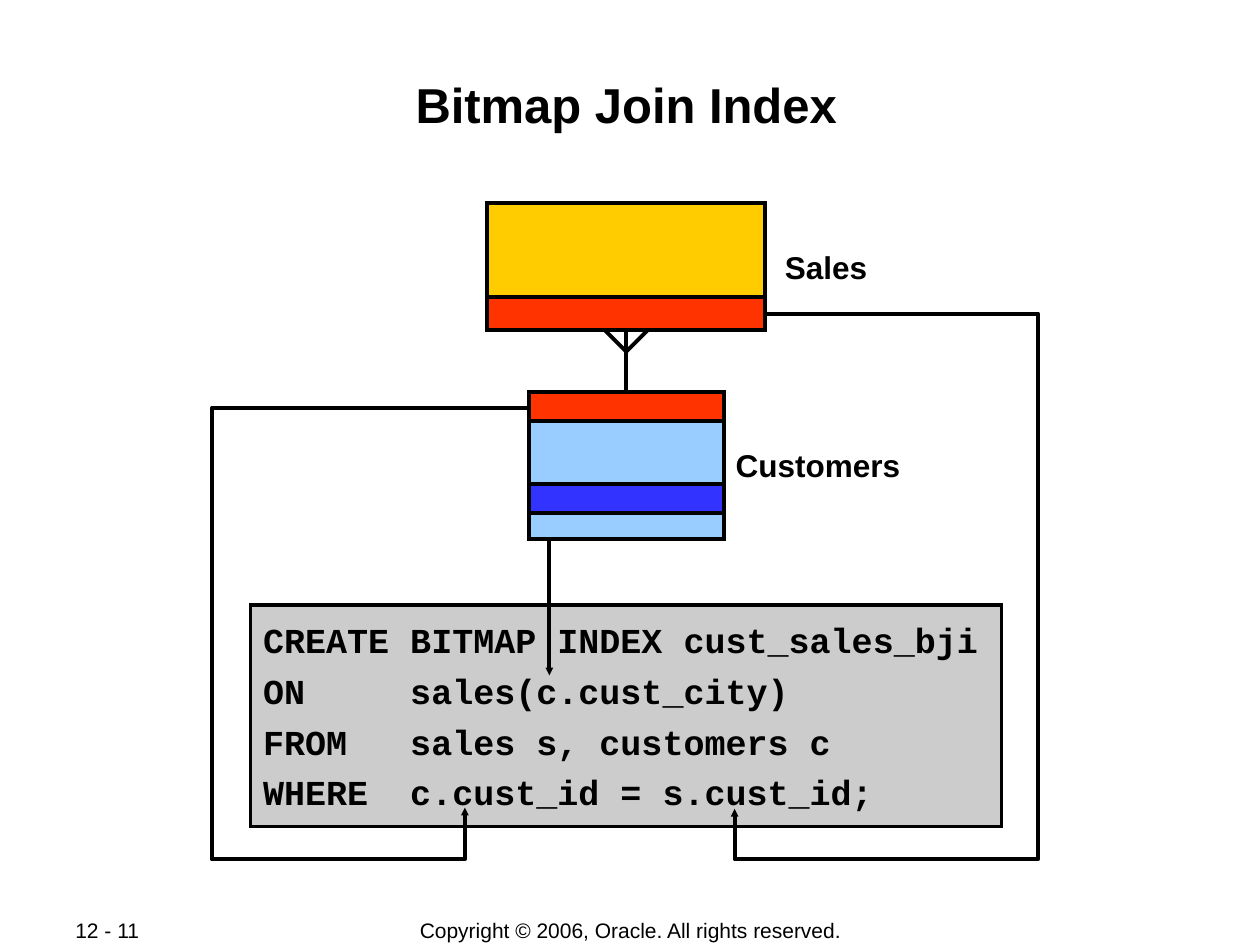
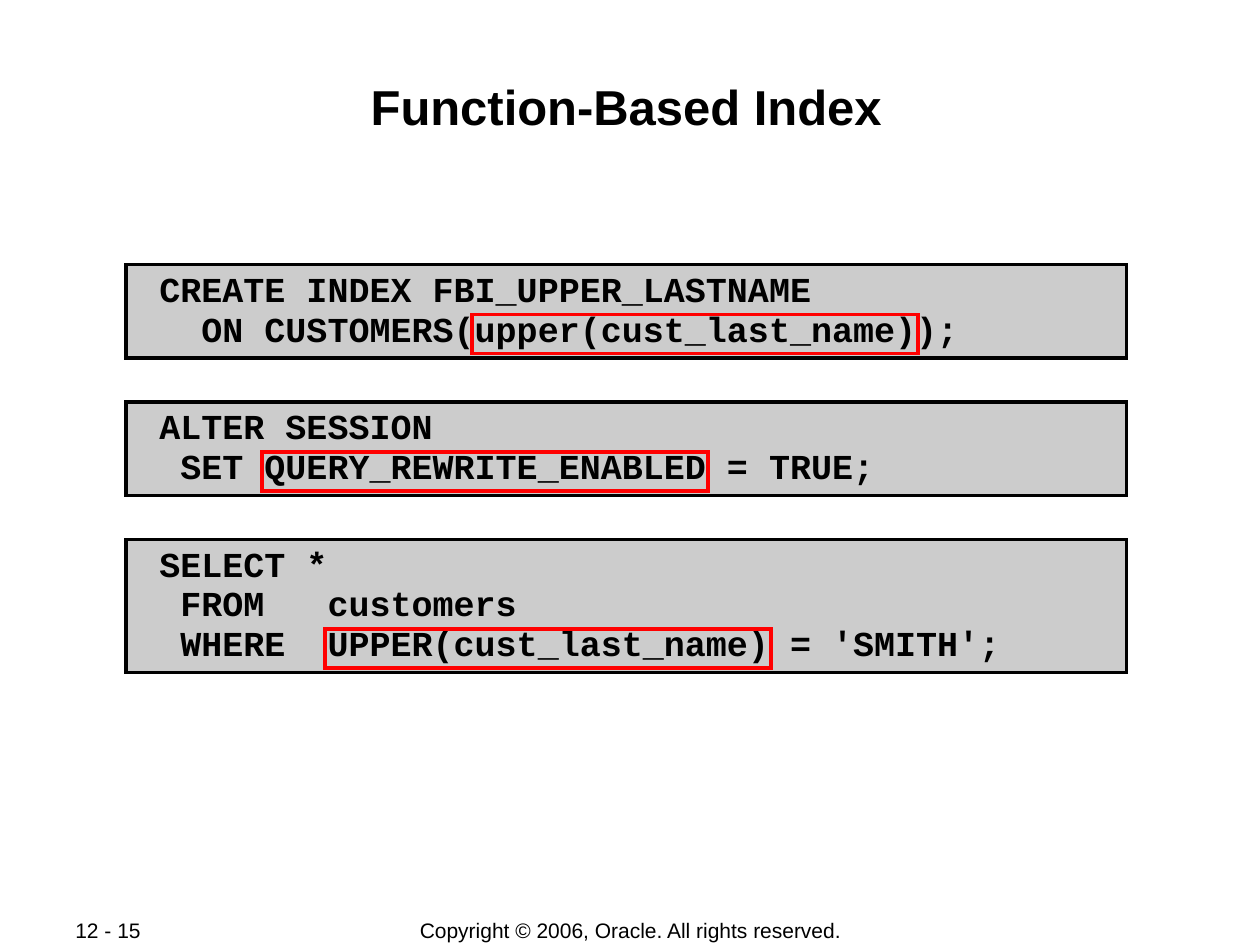
from lxml import etree
from pptx import Presentation
from pptx.dml.color import RGBColor
from pptx.enum.shapes import MSO_CONNECTOR, MSO_SHAPE
from pptx.enum.text import MSO_ANCHOR, MSO_AUTO_SIZE, PP_ALIGN
from pptx.oxml.ns import qn
from pptx.util import Inches, Pt

RECTANGLE, STRAIGHT = MSO_SHAPE.RECTANGLE, MSO_CONNECTOR.STRAIGHT
TOP, MIDDLE = MSO_ANCHOR.TOP, MSO_ANCHOR.MIDDLE
LEFT, CENTER = PP_ALIGN.LEFT, PP_ALIGN.CENTER
NO_AUTOSIZE = MSO_AUTO_SIZE.NONE

# Content
COPYRIGHT = "Copyright © 2006, Oracle. All rights reserved."
JOIN_TITLE, JOIN_PAGE = "Bitmap Join Index", "12 - 11"
FUNCTION_TITLE, FUNCTION_PAGE = "Function-Based Index", "12 - 15"
JOIN_CODE = [
    "CREATE BITMAP INDEX cust_sales_bji",
    "ON     sales(c.cust_city)",
    "FROM   sales s, customers c",
    "WHERE  c.cust_id = s.cust_id;",
]
# Each table: width, top, height, body colour, bands (offset, height, colour)
SALES = dict(width=2.21, top=1.61, height=1.01, body="gold",
             bands=[(0.75, 0.26, "key")])
CUSTOMERS = dict(width=1.55, top=3.11, height=1.17, body="sky",
                 bands=[(0, 0.23, "key"), (0.73, 0.23, "city")])
TABLE_LABELS = [("Sales", 6.13, 1.92, 1.05), ("Customers", 5.74, 3.49, 1.51)]
# Elbow arrows from each key band down to its column in the WHERE clause,
# in hundredths of an inch, since a freeform keeps whole units only
KEY_ROUTES = [
    [(419, 324), (168, 324), (168, 682), (369, 682), (369, 641)],
    [(607, 249), (824, 249), (824, 682), (583, 682), (583, 642)],
]
# Each statement: its lines and the phrase to frame in the last line
STATEMENTS = [
    ([" CREATE INDEX FBI_UPPER_LASTNAME",
      "   ON CUSTOMERS(upper(cust_last_name));"], "upper(cust_last_name)"),
    ([" ALTER SESSION",
      "  SET QUERY_REWRITE_ENABLED = TRUE;"], "QUERY_REWRITE_ENABLED"),
    ([" SELECT *",
      "  FROM   customers",
      "  WHERE  UPPER(cust_last_name) = 'SMITH';"], "UPPER(cust_last_name)"),
]

# Shared style
COLORS = dict(ink="000000", panel="CCCCCC", gold="FFCC00", sky="99CCFF",
              key="FF3300", city="3333FF", frame="FF0000")
SANS, MONO = "Arial", "Courier New"
CODE_SIZE = 20
CHAR_WIDTH = CODE_SIZE * 0.6 / 72
AXIS = 4.97  # shared centre line of the two tables
INSET = 0.1


def rgb(name):
    return RGBColor.from_string(COLORS[name])


def write(frame, lines, size, bold=False, font=SANS, align=LEFT, pitch=None,
          anchor=TOP, insets=(INSET, 0.05, INSET, 0.05)):
    frame.word_wrap = True
    frame.auto_size = NO_AUTOSIZE
    frame.vertical_anchor = anchor
    (frame.margin_left, frame.margin_top,
     frame.margin_right, frame.margin_bottom) = map(Inches, insets)
    for number, line in enumerate(lines):
        paragraph = frame.add_paragraph() if number else frame.paragraphs[0]
        paragraph.alignment = align
        paragraph.space_before = Pt(0)
        if pitch:
            paragraph.line_spacing = Pt(pitch)
        run = paragraph.add_run()
        run.text = line
        run.font.name, run.font.size, run.font.bold = font, Pt(size), bold
        run.font.color.rgb = rgb("ink")


def add_label(slide, text, box, size, **style):
    label = slide.shapes.add_textbox(*map(Inches, box))
    write(label.text_frame, [text], size, **style)


def outline(shape, fill=None, line="ink", weight=2.25):
    shape.shadow.inherit = False
    if fill:
        shape.fill.solid()
        shape.fill.fore_color.rgb = rgb(fill)
    else:
        shape.fill.background()
    shape.line.color.rgb = rgb(line)
    shape.line.width = Pt(weight)


def add_box(slide, box, fill=None, line="ink", weight=2.25):
    shape = slide.shapes.add_shape(RECTANGLE, *map(Inches, box))
    outline(shape, fill, line, weight)
    # Square corners
    etree.SubElement(shape.line._get_or_add_ln(), qn("a:miter"), lim="800000")
    return shape


def add_code(slide, box, lines, pitch):
    panel = add_box(slide, box, "panel", weight=2)
    write(panel.text_frame, lines, CODE_SIZE, bold=True, font=MONO,
          pitch=pitch, insets=(INSET, 0.04, 0, 0.02))


def add_line(slide, start, end, weight):
    line = slide.shapes.add_connector(STRAIGHT, *map(Inches, start + end))
    line.line.color.rgb = rgb("ink")
    line.line.width = Pt(weight)
    etree.SubElement(line._element.spPr, qn("a:effectLst"))
    return line


def add_arrowhead(shape):
    etree.SubElement(shape.line._get_or_add_ln(), qn("a:tailEnd"),
                     type="triangle", w="sm", len="sm")


def add_route(slide, points):
    builder = slide.shapes.build_freeform(*points[0], scale=Inches(0.01))
    builder.add_line_segments(points[1:], close=False)
    route = builder.convert_to_shape()
    outline(route)
    add_arrowhead(route)


def add_table_sketch(slide, table):
    left = AXIS - table["width"] / 2
    add_box(slide, (left, table["top"], table["width"], table["height"]),
            table["body"])
    return [add_box(slide, (left, table["top"] + offset, table["width"], height),
                    color)
            for offset, height, color in table["bands"]]


def add_page(deck, title, page, title_top):
    slide = deck.slides.add_slide(deck.slide_layouts[5])
    heading = slide.shapes.title
    heading.left, heading.top, heading.width, heading.height = map(
        Inches, (0.97, title_top, 8, 0.96))
    write(heading.text_frame, [title], 28, bold=True, align=CENTER,
          insets=(0.01, 0.01, 0.01, 0.01))
    add_label(slide, page, (0.5, 7.28, 1.06, 0.2), 12, anchor=MIDDLE)
    add_label(slide, COPYRIGHT, (2.76, 7.28, 4.49, 0.2), 12, anchor=MIDDLE,
              align=CENTER)
    return slide


def build_join_index(deck):
    slide = add_page(deck, JOIN_TITLE, JOIN_PAGE, 0.58)

    # Crow's foot: a turned square half hidden by the sales table
    foot = 0.25
    add_box(slide, (AXIS - foot / 2, 2.49, foot, foot)).rotation = 45

    # Code and tables
    add_code(slide, (1.99, 4.8, 5.96, 1.76), JOIN_CODE, pitch=29)
    sales_key = add_table_sketch(slide, SALES)[0]
    customers_key = add_table_sketch(slide, CUSTOMERS)[0]
    for text, left, top, width in TABLE_LABELS:
        add_label(slide, text, (left, top, width, 0.4), 18, bold=True)

    # Relation between the tables, and arrows into the code
    relation = add_line(slide, (AXIS, 2.62), (AXIS, 3.11), 2)
    relation.begin_connect(sales_key, 2)
    relation.end_connect(customers_key, 0)
    add_arrowhead(add_line(slide, (4.36, 4.28), (4.36, 5.36), 2.25))
    for points in KEY_ROUTES:
        add_route(slide, points)


def build_function_index(deck):
    slide = add_page(deck, FUNCTION_TITLE, FUNCTION_PAGE, 0.6)
    left, top, width, gap = 1, 2.1, 7.94, 0.35
    pitch = 22.7
    row = pitch / 72
    for lines, phrase in STATEMENTS:
        height = len(lines) * row + 0.11
        add_code(slide, (left, top, width, height), lines, pitch)
        # Frame around the phrase, placed by its column in the last line
        column = lines[-1].index(phrase)
        add_box(slide, (left + INSET + column * CHAR_WIDTH - 0.02,
                        top + 0.08 + (len(lines) - 1) * row,
                        len(phrase) * CHAR_WIDTH + 0.04, 0.31),
                line="frame", weight=2)
        top += height + gap


def main():
    deck = Presentation()
    deck.slide_width, deck.slide_height = Inches(10), Inches(7.5)
    build_join_index(deck)
    build_function_index(deck)
    deck.save("out.pptx")


if __name__ == "__main__":
    main()
